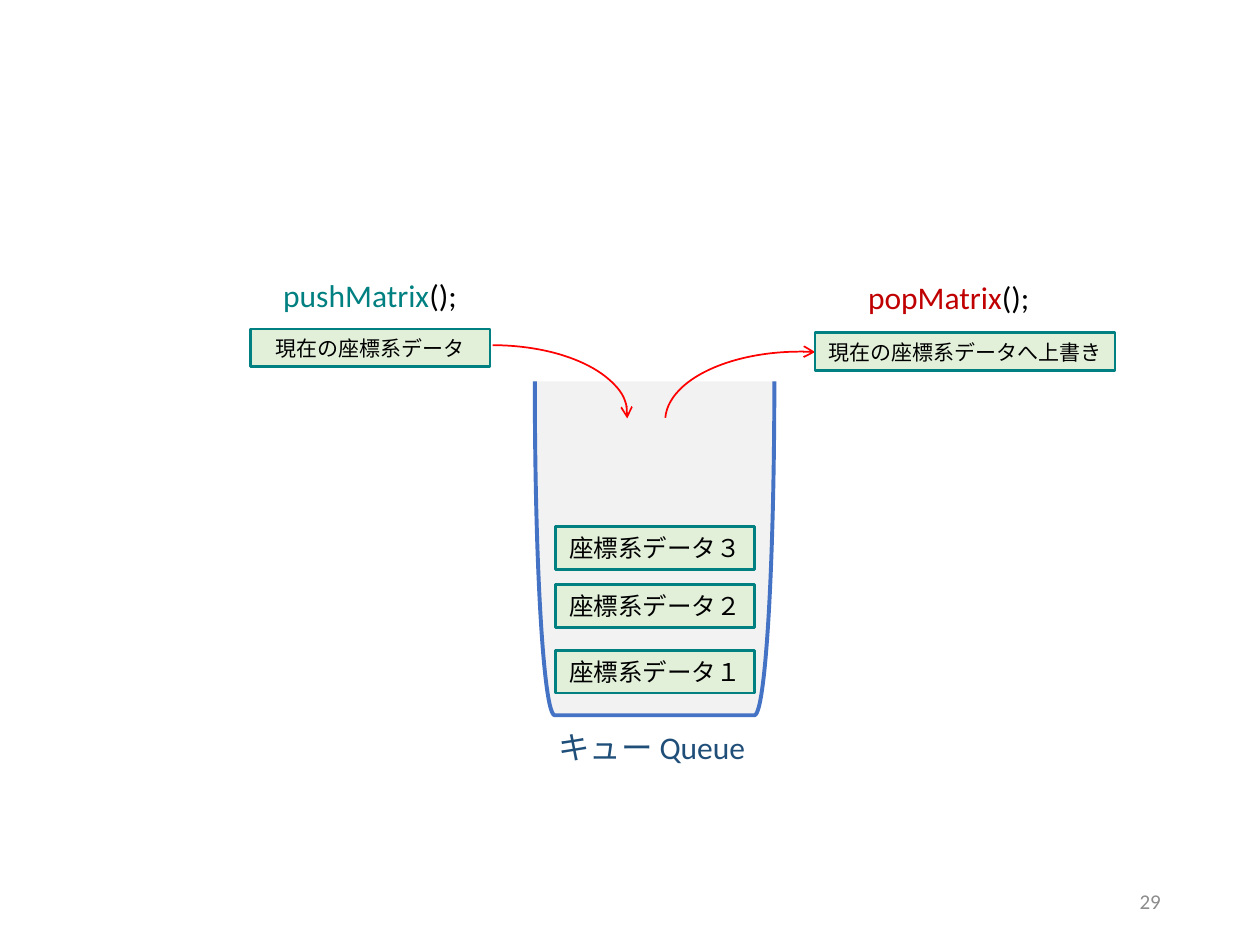
from pptx import Presentation
from pptx.dml.color import RGBColor
from pptx.enum.shapes import MSO_SHAPE
from pptx.enum.text import MSO_ANCHOR, PP_ALIGN
from pptx.oxml.ns import qn
from pptx.util import Cm, Pt
from lxml import etree

RECT, ARC, BRACKET = MSO_SHAPE.RECTANGLE, MSO_SHAPE.ARC, MSO_SHAPE.RIGHT_BRACKET
LEFT, CENTER, RIGHT = PP_ALIGN.LEFT, PP_ALIGN.CENTER, PP_ALIGN.RIGHT
TOP, MIDDLE = MSO_ANCHOR.TOP, MSO_ANCHOR.MIDDLE
FONT = "Calibri"
COLORS = {
    "black": "000000", "gray": "8C8C8C", "navy": "1F4E79", "teal": "008080",
    "dark_red": "C00000", "red": "FF0000", "blue": "4472C4",
    "light_gray": "F2F2F2", "light_green": "E2F0D9",
}


def rgb(name):
    """Return the named colour."""
    return RGBColor.from_string(COLORS[name])


def write(s, runs, size, align, anchor, wrap=False):
    """Fill a shape with one paragraph of (text, colour) runs."""
    tf = s.text_frame
    tf.word_wrap = wrap
    tf.vertical_anchor = anchor
    p = tf.paragraphs[0]
    p.alignment = align
    p.font.size = Pt(size)
    p.font.name = FONT
    for text, color in runs:
        r = p.add_run()
        r.text = text
        r.font.color.rgb = rgb(color)


def add_label(slide, box, runs, size=18, align=LEFT, anchor=TOP):
    """Add a plain text box."""
    s = slide.shapes.add_textbox(*map(Cm, box))
    write(s, runs, size, align, anchor, wrap=True)


def add_outline(slide, kind, box, line, width, fill=None):
    """Add a preset shape with a coloured line and an optional fill."""
    s = slide.shapes.add_shape(kind, *map(Cm, box))
    s.shadow.inherit = False
    s.line.color.rgb = rgb(line)
    s.line.width = Pt(width)
    if fill:
        s.fill.solid()
        s.fill.fore_color.rgb = rgb(fill)
    else:
        s.fill.background()
    return s


def add_data_box(slide, box, text, size):
    """Add a green box that holds coordinate data."""
    s = add_outline(slide, RECT, box, "teal", 1.5, "light_green")
    write(s, [(text, "black")], size, CENTER, MIDDLE)


def add_arc_arrow(slide, left, top, start, end):
    """Add a mirrored arc, angles in degrees, with an arrowhead at its start."""
    s = add_outline(slide, ARC, (left, top, 5.44, 2.79), "red", 1)
    for i, angle in enumerate((start, end)):
        s.adjustments[i] = angle * 0.6
    s.element.spPr.find(qn("a:xfrm")).set("flipH", "1")
    head = etree.SubElement(s.line._get_or_add_ln(), qn("a:headEnd"))
    head.set("type", "arrow")


def main():
    """Build the slide."""
    prs = Presentation()
    prs.slide_width, prs.slide_height = Cm(25.4), Cm(19.05)
    slide = prs.slides.add_slide(prs.slide_layouts[6])

    add_label(slide, (17.93, 17.65, 5.72, 1.02), [("29", "gray")], 12, RIGHT, MIDDLE)

    queue = add_outline(slide, BRACKET, (9.83, 8.64, 6.73, 4.83),
                        "blue", 2.25, "light_gray")
    queue.rotation = 90
    for top, number in ((13.11, "１"), (11.79, "２"), (10.62, "３")):
        add_data_box(slide, (11.2, top, 4.01, 0.86), "座標系データ" + number, 14)

    add_label(slide, (5.46, 5.44, 4.11, 1.02), [("pushMatrix", "teal"), ("();", "black")])
    add_label(slide, (11, 14.55, 4.83, 1.02), [("キュー Queue", "navy")])
    add_label(slide, (17.25, 5.49, 4.11, 1.02), [("popMatrix", "dark_red"), ("();", "black")])

    add_data_box(slide, (5.05, 6.63, 4.83, 0.76), "現在の座標系データ", 12)
    add_arc_arrow(slide, 7.21, 6.96, 178.28, 269.92)
    add_arc_arrow(slide, 13.41, 7.09, 257.59, 358.69)
    add_data_box(slide, (16.43, 6.71, 6.05, 0.76), "現在の座標系データへ上書き", 12)

    prs.save("out.pptx")


main()
